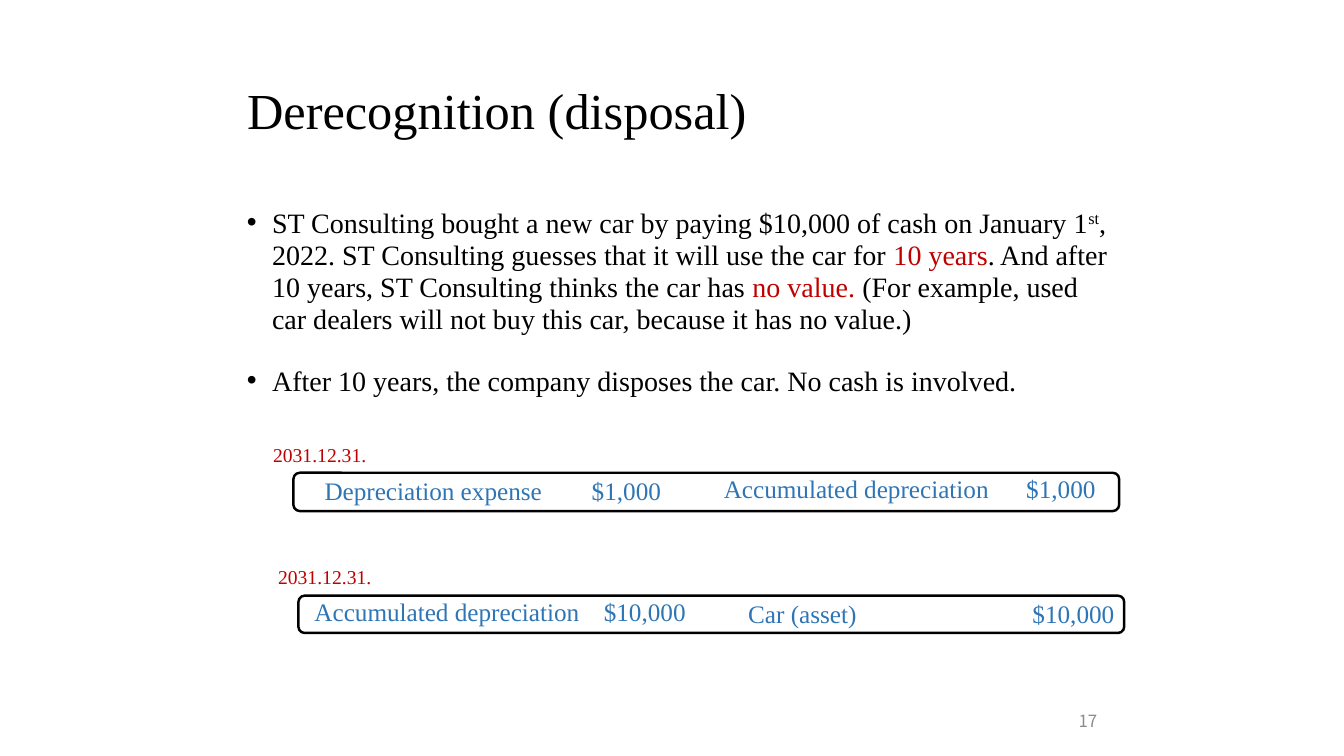
import pptx
import pptx.util
import pptx.dml.color
import pptx.enum.shapes
import pptx.enum.text
import lxml.etree
from pptx.util import Inches, Pt

SERIF = "Times New Roman"
BLACK, RED, BLUE, GRAY = "000000", "C00000", "2E75B6", "8C8C8C"


def add_run(paragraph, text, size, color, face=SERIF):
    run = paragraph.add_run()
    run.text = text
    run.font.size = Pt(size)
    run.font.name = face
    run.font.color.rgb = pptx.dml.color.RGBColor.from_string(color)
    return run


def add_box(left, top, width, height):
    frame = slide.shapes.add_textbox(
        Inches(left), Inches(top), Inches(width), Inches(height)).text_frame
    frame.word_wrap = True
    return frame


deck = pptx.Presentation()
deck.slide_width, deck.slide_height = Inches(13.33), Inches(7.5)
slide = deck.slides.add_slide(deck.slide_layouts[5])

title = slide.shapes.title
title.left, title.top = Inches(2.35), Inches(0.4)
title.width, title.height = Inches(9.31), Inches(1.45)
title.text_frame.vertical_anchor = pptx.enum.text.MSO_ANCHOR.MIDDLE
heading = title.text_frame.paragraphs[0]
heading.alignment = pptx.enum.text.PP_ALIGN.LEFT
heading.line_spacing = 0.9
add_run(heading, "Derecognition (disposal)", 36, BLACK)

story = [
    [("ST Consulting bought a new car by paying $10,000 of cash on January 1", BLACK),
     ("st", BLACK),
     (", 2022. ST Consulting guesses that it will use the car for ", BLACK),
     ("10 years", RED),
     (". And after 10 years, ST Consulting thinks the car has ", BLACK),
     ("no value. ", RED),
     ("(For example, used car dealers will not buy this car, because it has no value.)", BLACK)],
    [("After 10 years, the company disposes the car. No cash is involved.", BLACK)],
]
body = add_box(2.35, 2, 8.83, 4.76)
for index, sentences in enumerate(story):
    bullet = body.paragraphs[0] if index == 0 else body.add_paragraph()
    bullet.line_spacing = Pt(23)
    bullet.space_before = Pt(3 if index else 0)
    bullet.space_after = Pt(6 if index else 18)
    properties = bullet._p.get_or_add_pPr()
    properties.set("marL", str(Inches(0.25)))
    properties.set("indent", str(-Inches(0.25)))
    for tag, name, value in (("a:buFont", "typeface", "Arial"), ("a:buChar", "char", "•")):
        lxml.etree.SubElement(properties, pptx.oxml.ns.qn(tag)).set(name, value)
    for text, color in sentences:
        run = add_run(bullet, text, 20, color)
        if text == "st":
            run._r.get_or_add_rPr().set("baseline", "30000")

page = add_box(8.73, 6.95, 2.25, 0.4)
page.vertical_anchor = pptx.enum.text.MSO_ANCHOR.MIDDLE
page.paragraphs[0].alignment = pptx.enum.text.PP_ALIGN.RIGHT
add_run(page.paragraphs[0], "17", 12, GRAY, "Noto Sans CJK KR")

journal = [
    (2.66, 4.34, 0.38, [
        (3.12, 4.11, 0.1, 2.65, None, "Depreciation expense", "$1,000"),
        (7.08, 4.25, 0.1, 3, 20, "Accumulated depreciation", "$1,000")]),
    (2.71, 5.56, 0.37, [
        (3.02, 4.11, 0.1, 2.87, 20, "Accumulated depreciation", "$10,000"),
        (7.13, 4.25, 0.29, 2.82, None, "Car (asset)", "$10,000")]),
]
for left, top, height, sides in journal:
    for side_left, width, inset, amount_at, leading, account, amount in sides:
        side = add_box(side_left, top + 0.33, width, 0.4)
        side.margin_left = Inches(inset)
        entry = side.paragraphs[0]
        if leading:
            entry.line_spacing = Pt(leading)
        tabs = lxml.etree.SubElement(entry._p.get_or_add_pPr(), pptx.oxml.ns.qn("a:tabLst"))
        stop = lxml.etree.SubElement(tabs, pptx.oxml.ns.qn("a:tab"))
        stop.set("pos", str(Inches(amount_at)))
        stop.set("algn", "l")
        add_run(entry, f"{account}\t{amount}", 18, BLUE)

    border = slide.shapes.add_shape(
        pptx.enum.shapes.MSO_SHAPE.ROUNDED_RECTANGLE,
        Inches(left + 0.25), Inches(top + 0.35), Inches(8.19), Inches(height))
    border.shadow.inherit = False
    border.fill.background()
    border.line.color.rgb = pptx.dml.color.RGBColor.from_string(BLACK)
    border.line.width = Pt(1.75)

    date = add_box(left - 0.05, top, 1.27, 0.34)
    add_run(date.paragraphs[0], "2031.12.31.", 14, RED)

deck.save("out.pptx")
